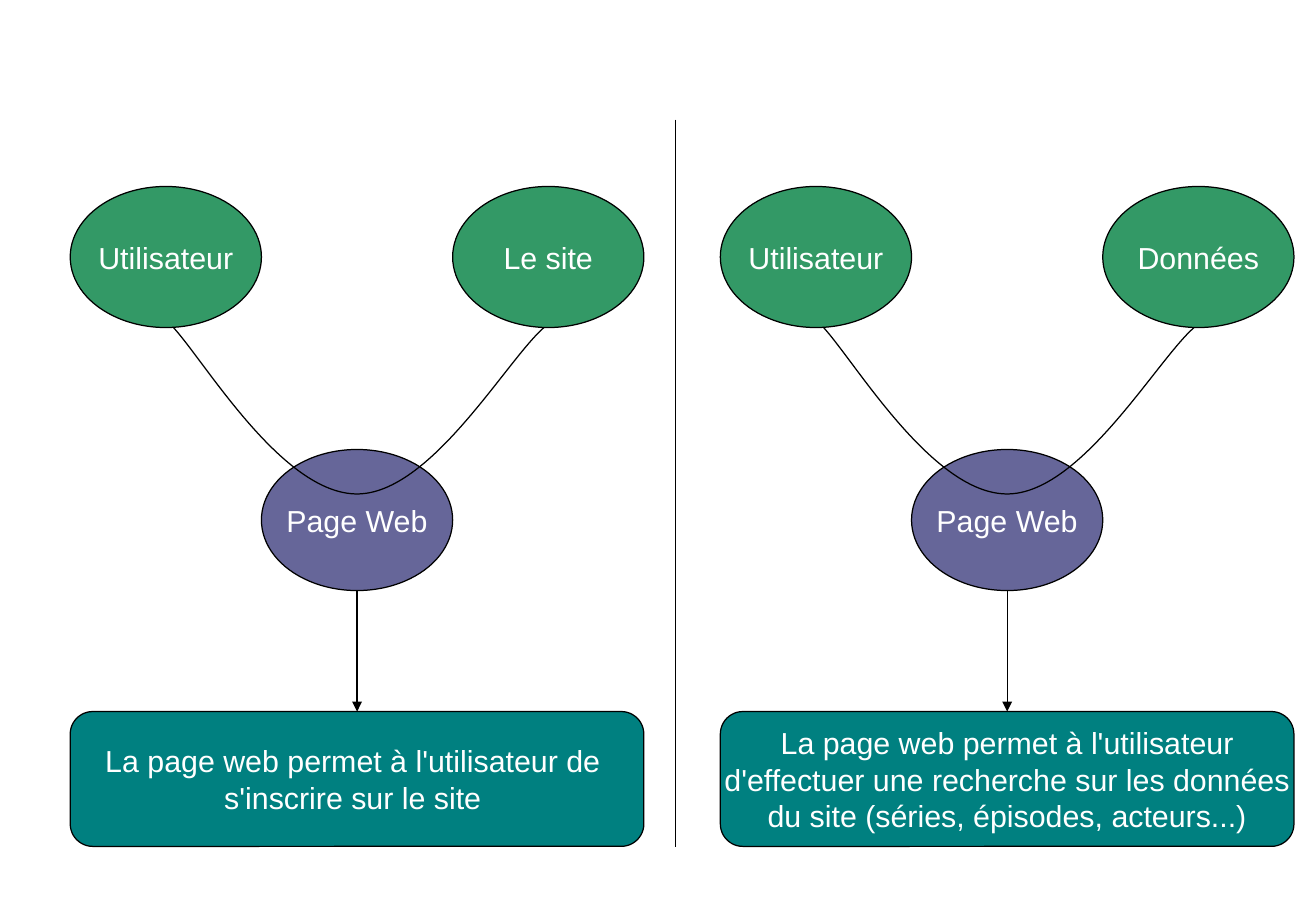
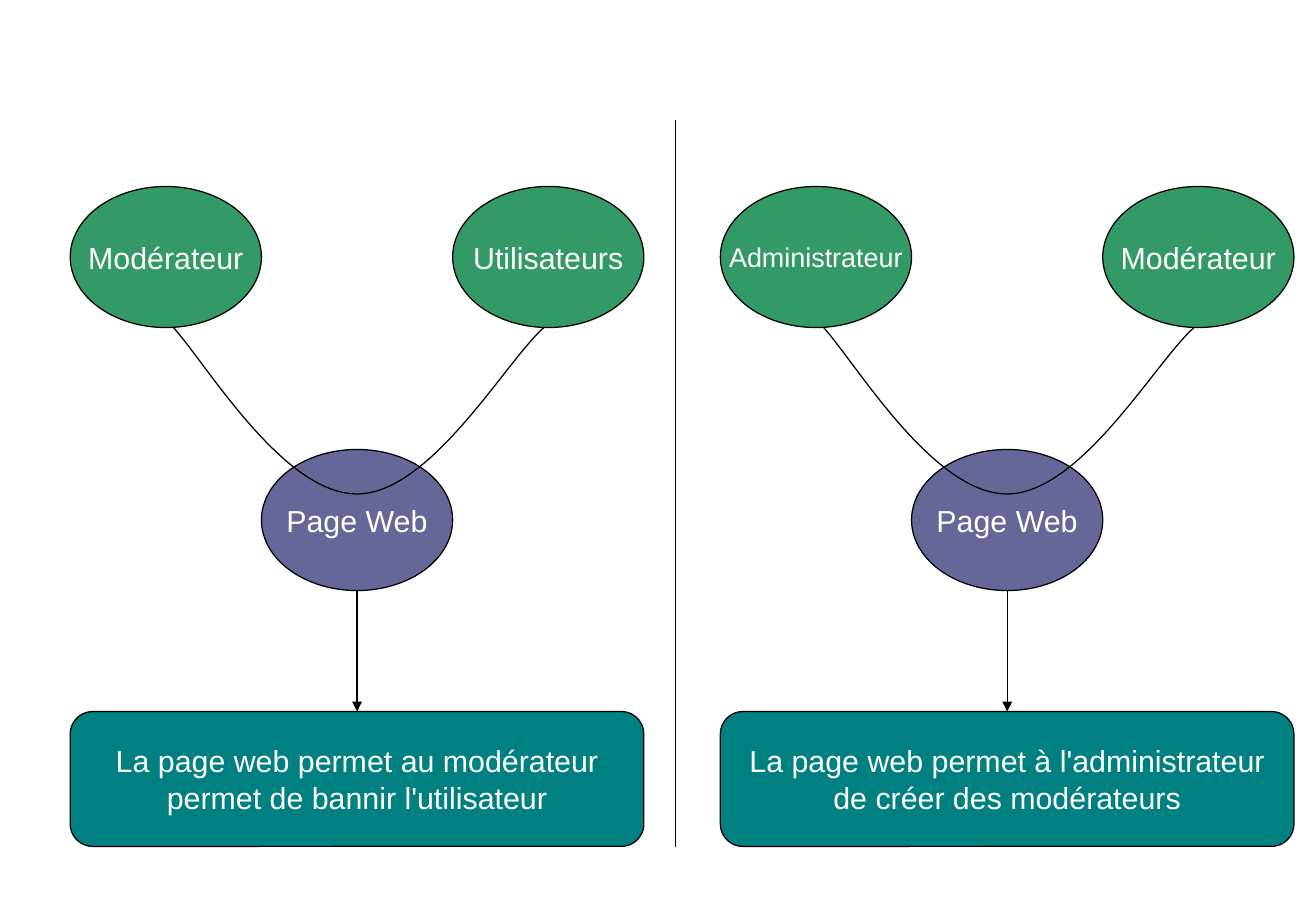
"""Two slides of use cases, each with two diagrams side by side."""
from dataclasses import dataclass

from lxml import etree
from pptx import Presentation
from pptx import util as u
from pptx.dml.color import RGBColor
from pptx.enum import shapes, text
from pptx.oxml.ns import qn


@dataclass(frozen=True)
class Theme:
    """Colours, type and line sizes of the deck."""
    actor: RGBColor = RGBColor(0x33, 0x99, 0x66)
    page: RGBColor = RGBColor(0x66, 0x66, 0x99)
    purpose: RGBColor = RGBColor(0x00, 0x80, 0x80)
    ink: RGBColor = RGBColor(0x00, 0x00, 0x00)
    lettering: RGBColor = RGBColor(0xFF, 0xFF, 0xFF)
    font: str = "Arial"
    size: int = 18
    small: int = 16
    outline: float = 0.75


@dataclass(frozen=True)
class Box:
    """A rectangle in centimetres."""
    left: float
    top: float
    width: float
    height: float

    def lengths(self):
        """Return the four sides as lengths."""
        return [u.Cm(side) for side in (self.left, self.top, self.width, self.height)]


@dataclass(frozen=True)
class UseCase:
    """Two actors and what the web page lets the first one do."""
    actor: str
    partner: str
    purpose: str
    actor_size: int = Theme.size


THEME = Theme()
PANELS = [Box(left, 3.9, 12, 13.8) for left in (1.47, 15.07)]
NODE_HEIGHT, PURPOSE_HEIGHT, PAGE_DROP = 2.95, 2.82, 5.5
LINK_START = 2.16
LINK_CURVES = [
    [(0.69, 0.76), (2.29, 3.48), (3.84, 3.48)],
    [(5.38, 3.48), (6.96, 0.69), (7.75, 0)],
]
SLIDES = [
    [
        UseCase("Utilisateur", "Le site",
                "La page web permet à l'utilisateur de \ns'inscrire sur le site "),
        UseCase("Utilisateur", "Données",
                "La page web permet à l'utilisateur\n"
                "d'effectuer une recherche sur les données\n"
                "du site (séries, épisodes, acteurs...)"),
    ],
    [
        UseCase("Modérateur", "Utilisateurs",
                "La page web permet au modérateur\npermet de bannir l'utilisateur"),
        UseCase("Administrateur", "Modérateur",
                "La page web permet à l'administrateur\nde créer des modérateurs",
                THEME.small),
    ],
]


def apply(target, **values):
    """Set each named attribute on the target."""
    for name, value in values.items():
        setattr(target, name, value)


def draw_outline(part):
    """Give a shape or connector the common outline."""
    part.line.color.rgb = THEME.ink
    part.line.width = u.Pt(THEME.outline)


def add_node(slide, preset, box, words, colour, size=THEME.size):
    """Add a filled shape with centred words."""
    node = slide.shapes.add_shape(preset, *box.lengths())
    node.shadow.inherit = False
    node.fill.solid()
    node.fill.fore_color.rgb = colour
    draw_outline(node)
    frame = node.text_frame
    frame.text = words
    apply(frame, word_wrap=False, vertical_anchor=text.MSO_ANCHOR.MIDDLE)
    for paragraph in frame.paragraphs:
        paragraph.alignment = text.PP_ALIGN.CENTER
        apply(paragraph.font, name=THEME.font, size=u.Pt(size))
        paragraph.font.color.rgb = THEME.lettering
    return node


def add_line(slide, start, end, arrow=False):
    """Add a straight line, with an arrowhead at its end if asked."""
    ends = [u.Cm(length) for length in (*start, *end)]
    line = slide.shapes.add_connector(shapes.MSO_CONNECTOR.STRAIGHT, *ends)
    draw_outline(line)
    properties = line.element.spPr
    if arrow:
        etree.SubElement(properties.get_or_add_ln(), qn("a:tailEnd"), type="triangle")
    etree.SubElement(properties, qn("a:effectLst"))
    return line


def add_link(slide, left, top):
    """Add the curve that joins both actors through the page."""
    builder = slide.shapes.build_freeform(u.Cm(left), u.Cm(top))
    builder.add_line_segments(
        [(u.Cm(left + x), u.Cm(top + y)) for *_, (x, y) in LINK_CURVES], close=False)
    link = builder.convert_to_shape()
    link.shadow.inherit = False
    link.fill.background()
    draw_outline(link)
    for segment, curve in zip(list(link.element.iter(qn("a:lnTo"))), LINK_CURVES):
        bezier = etree.Element(qn("a:cubicBezTo"))
        for x, y in curve:
            etree.SubElement(bezier, qn("a:pt"), x=str(u.Cm(x)), y=str(u.Cm(y)))
        segment.getparent().replace(segment, bezier)


def add_use_case(slide, panel, case):
    """Draw one use case inside its panel."""
    third = panel.width / 3
    page_top = panel.top + PAGE_DROP
    centre = panel.left + panel.width / 2
    purpose_top = panel.top + panel.height - PURPOSE_HEIGHT
    nodes = [
        (1, page_top, "Page Web", THEME.page, THEME.size),
        (2, panel.top, case.partner, THEME.actor, THEME.size),
        (0, panel.top, case.actor, THEME.actor, case.actor_size),
    ]
    for column, top, words, colour, size in nodes:
        box = Box(panel.left + column * third, top, third, NODE_HEIGHT)
        add_node(slide, shapes.MSO_SHAPE.OVAL, box, words, colour, size)
    purpose = add_node(slide, shapes.MSO_SHAPE.ROUNDED_RECTANGLE,
                       Box(panel.left, purpose_top, panel.width, PURPOSE_HEIGHT),
                       case.purpose, THEME.purpose)
    add_link(slide, panel.left + LINK_START, panel.top + NODE_HEIGHT)
    arrow = add_line(slide, (centre, page_top + NODE_HEIGHT), (centre, purpose_top), arrow=True)
    arrow.end_connect(purpose, 0)


def add_divider(slide):
    """Draw the rule between the two panels."""
    add_line(slide, (14.13, 2.5), (14.13, 17.72))


def main():
    """Build and save the deck."""
    deck = Presentation()
    apply(deck, slide_width=u.Cm(27.53), slide_height=u.Cm(19.05))
    for cases in SLIDES:
        slide = deck.slides.add_slide(deck.slide_layouts[6])
        add_divider(slide)
        for panel, case in zip(PANELS, cases):
            add_use_case(slide, panel, case)
    deck.save("out.pptx")


if __name__ == "__main__":
    main()
